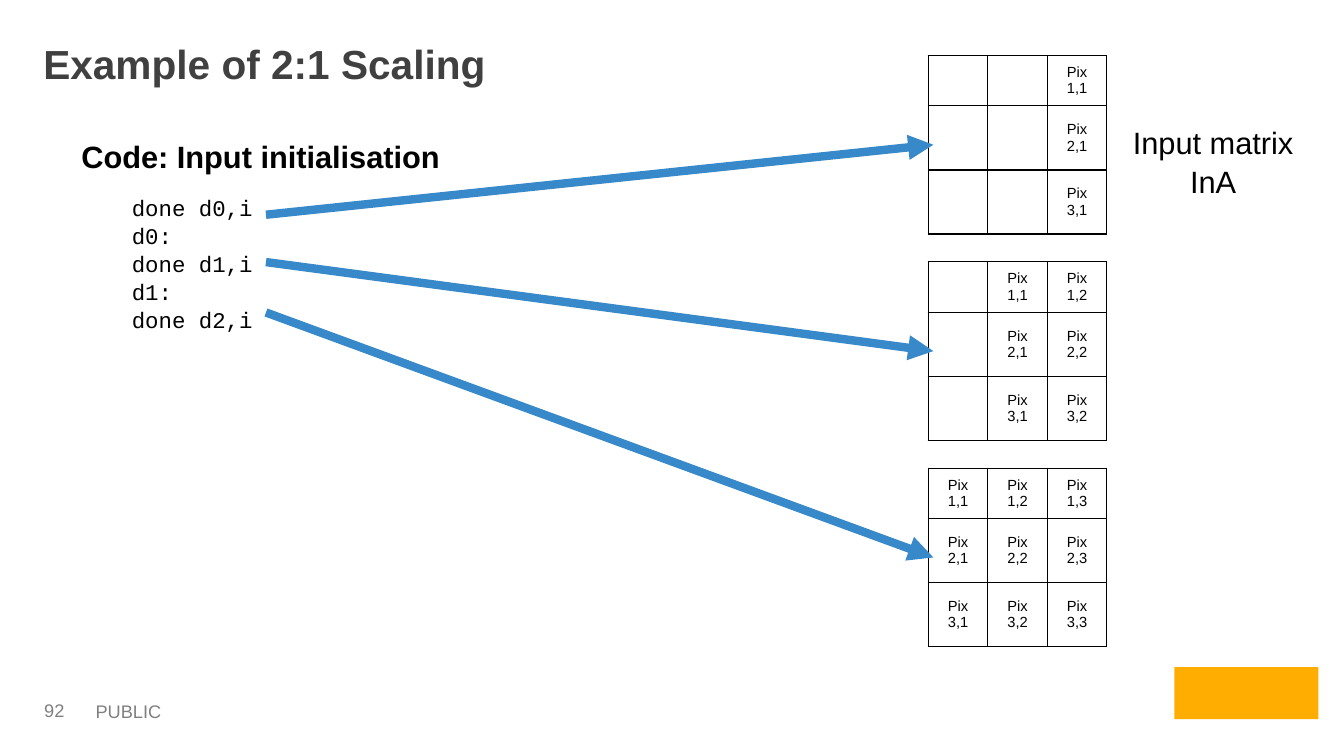
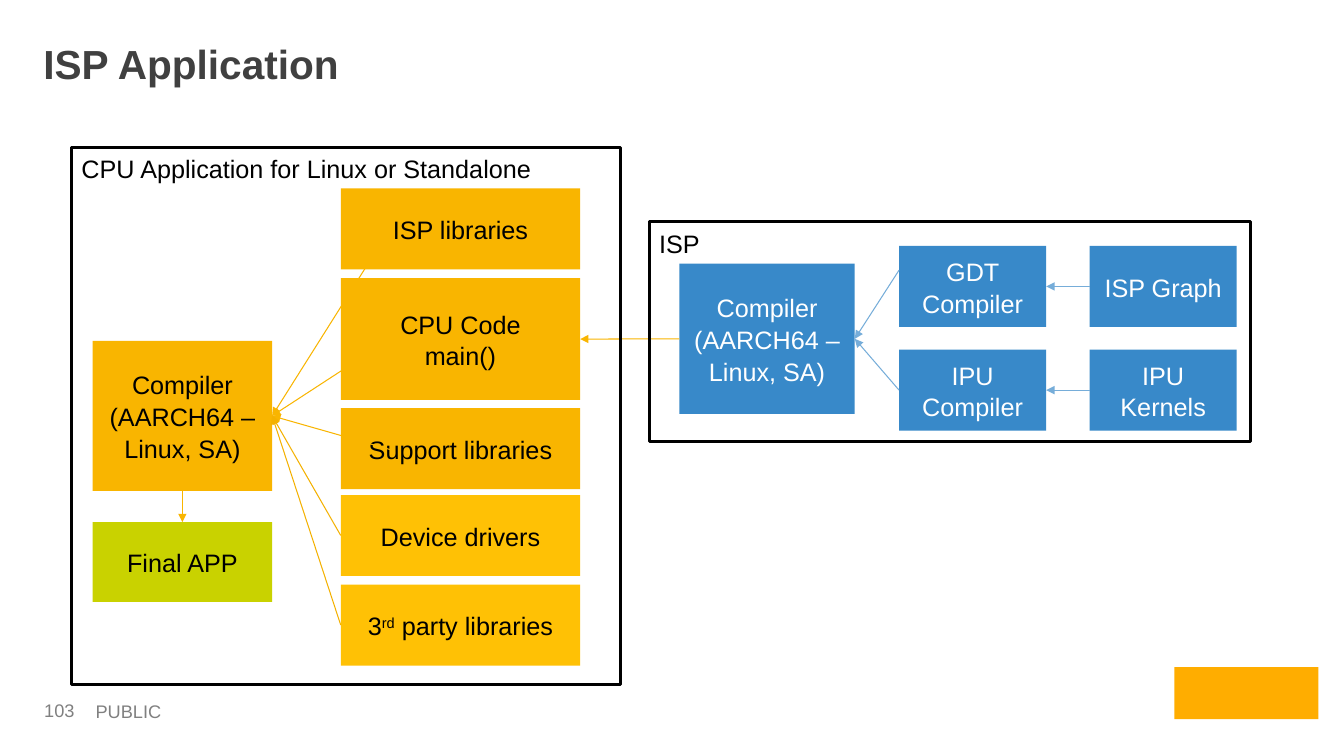
from dataclasses import dataclass

from pptx import Presentation
from pptx import util as u
from pptx.dml.color import RGBColor
from pptx.enum import shapes, text
from pptx.oxml.ns import qn
from lxml import etree


@dataclass(frozen=True)
class Theme:
    sans: str = "Arial"
    mono: str = "Courier New"
    black: str = "000000"
    white: str = "FFFFFF"
    title: str = "404040"
    footer: str = "808080"
    blue: str = "3889C9"
    light_blue: str = "76ADD9"
    orange: str = "F9B500"
    dark_orange: str = "F4B100"
    yellow: str = "FFC105"
    green: str = "C9D200"
    mark: str = "FFAD00"
    title_size: float = 29
    heading_size: float = 22
    box_size: float = 18
    code_size: float = 16
    footer_size: float = 13
    cell_size: float = 10.5
    spacing: float = 1.05


THEME = Theme()
LEFT = text.PP_ALIGN.LEFT
CENTER = text.PP_ALIGN.CENTER
TOP = text.MSO_ANCHOR.TOP
MIDDLE = text.MSO_ANCHOR.MIDDLE
TOP_SIDE, LEFT_SIDE, BOTTOM_SIDE, RIGHT_SIDE = range(4)


def points(*values):
    return [u.Pt(value) for value in values]


def rgb(color):
    return RGBColor.from_string(color)


class Deck:
    def __init__(self):
        self.presentation = Presentation()
        self.presentation.slide_width = u.Pt(960)
        self.presentation.slide_height = u.Pt(540)
        self.slide = None

    def start(self, title, number):
        layout = self.presentation.slide_layouts[6]
        self.slide = self.presentation.slides.add_slide(layout)
        self.label((61.2, 496, 286.6, 24.5), "PUBLIC", THEME.footer_size, THEME.footer)
        page = self.label((26.6, 496, 46.8, 21.6), str(number), THEME.footer_size, THEME.footer)
        frame = page.text_frame
        frame.margin_left = frame.margin_right = u.Pt(5)
        frame.margin_top = frame.margin_bottom = u.Pt(3)
        frame.vertical_anchor = MIDDLE
        self.box((838.8, 476.6, 103, 37.2), "", THEME.mark)
        self.label((23.8, 22.3, 918, 51.8), title, THEME.title_size, THEME.title, bold=True)

    def fill_text(self, frame, lines, size, color=THEME.black, font=THEME.sans, bold=False,
                  align=LEFT, indent=0, spacing=THEME.spacing):
        frame.word_wrap = True
        for index, line in enumerate(lines.split("\n")):
            paragraph = frame.paragraphs[0] if index == 0 else frame.add_paragraph()
            pieces = line.split("^")
            paragraph.text = pieces[0]
            for piece in pieces[1:]:
                paragraph.add_run().text = piece
            paragraph.alignment = align
            paragraph.line_spacing = spacing
            if indent:
                paragraph._p.get_or_add_pPr().set("marL", str(u.Pt(indent)))
            for position, run in enumerate(paragraph.runs):
                run.font.name = font
                run.font.size = u.Pt(size)
                run.font.bold = bold
                run.font.color.rgb = rgb(color)
                if position % 2:
                    run.font._element.set("baseline", "30000")

    def label(self, place, lines, size, color=THEME.black, **style):
        shape = self.slide.shapes.add_textbox(*points(*place))
        self.fill_text(shape.text_frame, lines, size, color, **style)
        return shape

    def rectangle(self, place):
        shape = self.slide.shapes.add_shape(shapes.MSO_SHAPE.RECTANGLE, *points(*place))
        shape.shadow.inherit = False
        return shape

    def box(self, place, lines, fill, color=THEME.black):
        shape = self.rectangle(place)
        shape.fill.solid()
        shape.fill.fore_color.rgb = rgb(fill)
        shape.line.fill.background()
        shape.text_frame.vertical_anchor = MIDDLE
        if lines:
            self.fill_text(shape.text_frame, lines, THEME.box_size, color, align=CENTER)
        return shape

    def frame(self, place, lines):
        shape = self.rectangle(place)
        shape.fill.background()
        shape.line.color.rgb = rgb(THEME.black)
        shape.line.width = u.Pt(2)
        shape.text_frame.vertical_anchor = TOP
        self.fill_text(shape.text_frame, lines, THEME.box_size)

    def arrow(self, begin, end, color, width=0.75):
        joined = [not isinstance(target[0], (int, float)) for target in (begin, end)]
        start = (0, 0) if joined[0] else begin
        finish = (0, 0) if joined[1] else end
        connector = self.slide.shapes.add_connector(
            shapes.MSO_CONNECTOR.STRAIGHT, *points(*start, *finish))
        if joined[0]:
            connector.begin_connect(*begin)
        if joined[1]:
            connector.end_connect(*end)
        connector.line.color.rgb = rgb(color)
        connector.line.width = u.Pt(width)
        properties = connector._element.spPr
        etree.SubElement(properties.find(qn("a:ln")), qn("a:tailEnd"), type="triangle")
        etree.SubElement(properties, qn("a:effectLst"))

    def border(self, cell):
        properties = cell._tc.get_or_add_tcPr()
        for position, side in enumerate(("lnL", "lnR", "lnT", "lnB")):
            line = etree.Element(qn(f"a:{side}"), w=str(u.Pt(1)))
            fill = etree.SubElement(line, qn("a:solidFill"))
            etree.SubElement(fill, qn("a:srgbClr"), val=THEME.black)
            properties.insert(position, line)

    def table(self, left, top, column_width, row_heights, rows):
        columns = len(rows[0])
        place = points(left, top, column_width * columns, sum(row_heights))
        table = self.slide.shapes.add_table(len(rows), columns, *place).table
        table.first_row = table.horz_banding = False
        for column in table.columns:
            column.width = u.Pt(column_width)
        for row, height, values in zip(table.rows, row_heights, rows):
            row.height = u.Pt(height)
            for cell, value in zip(row.cells, values):
                cell.fill.background()
                cell.vertical_anchor = MIDDLE
                self.border(cell)
                if value:
                    self.fill_text(cell.text_frame, value, THEME.cell_size,
                                   align=CENTER, spacing=1.0)


def scaling_slide(deck):
    deck.start("Example of 2:1 Scaling", 92)
    left, first_top, pitch = 663.1, 39.6, 147.4
    row_heights = (36, 45.8, 45.8)
    for step in range(3):
        rows = [[f"Pix {row},{column + step - 1}" if column + step > 1 else ""
                 for column in range(3)] for row in (1, 2, 3)]
        deck.table(left, first_top + pitch * step, 42.5, row_heights, rows)

    deck.label((51.1, 133.9, 430.6, 104.4), "done d0,i\nd0:\ndone d1,i\nd1:\ndone d2,i",
               THEME.code_size, font=THEME.mono, indent=36)
    deck.label((51.1, 93.6, 701.3, 38.9), "Code: Input initialisation",
               THEME.heading_size, bold=True)
    for step, code_y in enumerate((153.4, 187.2, 223.2)):
        matrix_y = first_top + pitch * step + sum(row_heights) / 2
        deck.arrow((190, code_y), (left + 3.6, matrix_y), THEME.blue, 6)
    deck.label((794.9, 83.5, 143.3, 59), "Input matrix\nInA", THEME.heading_size, align=CENTER)


def application_slide(deck):
    deck.start("ISP Application", 103)
    compiler_text = "Compiler (AARCH64 – Linux, SA)"
    height = 57.8

    parts = [
        deck.box((243.4, top, 171, part_height), lines, fill)
        for top, part_height, lines, fill in (
            (134.6, height, "ISP libraries", THEME.orange),
            (198.7, 87, "CPU Code\nmain()", THEME.orange),
            (291.6, height, "Support libraries", THEME.orange),
            (353.6, height, "Device drivers", THEME.yellow),
            (417.6, height, "3^rd^ party libraries", THEME.yellow),
        )
    ]
    compiler = deck.box((66.2, 243.4, 128.2, 107.3), compiler_text, THEME.orange)
    final = deck.box((66.2, 373, 128.2, 57), "Final APP", THEME.green)
    for y in (163.5, 242.2, 321.1):
        deck.arrow((278.6, y), (compiler, RIGHT_SIDE), THEME.orange)
    for part in parts[3:]:
        deck.arrow((part, LEFT_SIDE), (compiler, RIGHT_SIDE), THEME.dark_orange)
    deck.arrow((compiler, BOTTOM_SIDE), (final, TOP_SIDE), THEME.orange)

    isp_compiler = deck.box((485.3, 188.4, 125.3, 107.3), compiler_text, THEME.blue, THEME.white)
    deck.arrow((isp_compiler, LEFT_SIDE), (parts[1], RIGHT_SIDE), THEME.orange)
    for top, tool_text, input_text in ((175.7, "GDT Compiler", "ISP Graph"),
                                       (249.8, "IPU Compiler", "IPU Kernels")):
        tool, source = [deck.box((x, top, 105.1, height), lines, THEME.blue, THEME.white)
                        for x, lines in ((642.2, tool_text), (778.3, input_text))]
        deck.arrow((source, LEFT_SIDE), (tool, RIGHT_SIDE), THEME.light_blue)
        begin = (642.2, 193) if tool_text.startswith("GDT") else (tool, LEFT_SIDE)
        deck.arrow(begin, (isp_compiler, RIGHT_SIDE), THEME.light_blue)

    deck.frame((463.7, 158.4, 429.8, 157), "ISP")
    deck.frame((51.1, 105.1, 392.4, 383.8), "CPU Application for Linux or Standalone")


def main():
    deck = Deck()
    scaling_slide(deck)
    application_slide(deck)
    deck.presentation.save("out.pptx")


if __name__ == "__main__":
    main()
